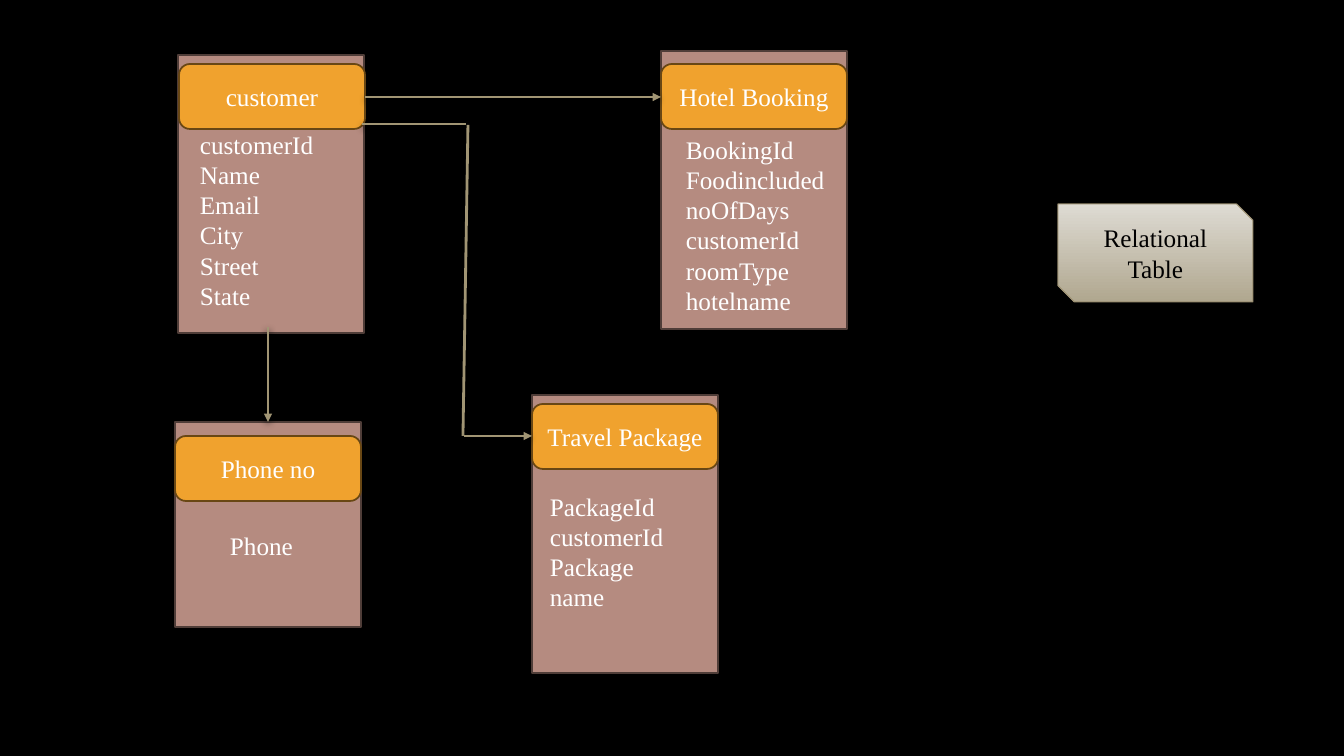
from lxml import etree
from pptx import Presentation
from pptx.dml.color import RGBColor
from pptx.enum.shapes import MSO_CONNECTOR, MSO_SHAPE
from pptx.enum.text import MSO_ANCHOR, PP_ALIGN
from pptx.oxml import parse_xml
from pptx.oxml.ns import qn
from pptx.util import Pt

RECT, ROUND = MSO_SHAPE.RECTANGLE, MSO_SHAPE.ROUNDED_RECTANGLE
SNIP = MSO_SHAPE.SNIP_2_DIAG_RECTANGLE
STRAIGHT = MSO_CONNECTOR.STRAIGHT
CENTER, MIDDLE = PP_ALIGN.CENTER, MSO_ANCHOR.MIDDLE
PX = 12192000 / 1344
FONT = "Times New Roman"
COLORS = {
    "back": "000000", "card": "B58B80", "card_edge": "4F3D38",
    "header": "F0A22E", "header_edge": "694714", "white": "FFFFFF",
    "black": "000000", "arrow": "A19574", "note_top": "DEDBD3",
    "note_bottom": "B0A78F", "note_edge": "9A8E6F",
}
RGB = {name: RGBColor.from_string(value) for name, value in COLORS.items()}
SHADOW = (
    '<a:effectLst xmlns:a="http://schemas.openxmlformats.org/drawingml/2006/main">'
    '<a:outerShdw blurRad="63500" dist="25400" dir="5400000" rotWithShape="0">'
    '<a:srgbClr val="000000"><a:alpha val="60000"/></a:srgbClr>'
    '</a:outerShdw></a:effectLst>'
)


def add_box(kind, box, fill, edge, width):
    sp = s.shapes.add_shape(kind, *[round(v * PX) for v in box])
    sp.shadow.inherit = False
    sp.fill.solid()
    sp.fill.fore_color.rgb = RGB[fill]
    sp.line.color.rgb = RGB[edge]
    sp.line.width = Pt(width)
    return sp


def write(tf, lines, color, align=None):
    tf.word_wrap = True
    for i, line in enumerate(lines):
        p = tf.add_paragraph() if i else tf.paragraphs[0]
        p.alignment = align
        r = p.add_run()
        r.text = line
        r.font.name = FONT
        r.font.size = Pt(18)
        r.font.color.rgb = RGB[color]


prs = Presentation()
prs.slide_width, prs.slide_height = round(1344 * PX), round(756 * PX)
s = prs.slides.add_slide(prs.slide_layouts[6])
s.background.fill.solid()
s.background.fill.fore_color.rgb = RGB["back"]

# Tables: name, card (left, top, height), header (left, top), field box, fields
CARD_W, HEADER_H = 186, 65
tables = [
    ("customer", (178, 55, 278), (179, 64), (190, 124, 165, 224),
     ["customerId", "Name", "Email", "City", "Street", "State"]),
    ("Hotel Booking", (661, 51, 278), (661, 64), (676, 129, 166, 194),
     ["BookingId", "Foodincluded", "noOfDays", "customerId", "roomType", "hotelname"]),
    ("Travel Package", (532, 395, 278), (532, 404), (540, 486, 160, 102),
     ["PackageId", "customerId", "Package name"]),
    ("Phone no", (175, 422, 205), (175, 436), (220, 525, 153, 40), ["Phone"]),
]
for name, (left, top, height), (hx, hy), field_box, fields in tables:
    add_box(RECT, (left, top, CARD_W, height), "card", "card_edge", 1.25)
    sp = add_box(ROUND, (hx, hy, CARD_W, HEADER_H), "header", "header_edge", 1.25)
    sp.text_frame.vertical_anchor = MIDDLE
    write(sp.text_frame, [name], "white", CENTER)
    sp = s.shapes.add_textbox(*[round(v * PX) for v in field_box])
    write(sp.text_frame, fields, "white")

# Relations: start, end, arrowhead
relations = [
    ((365, 97), (661, 97), True),
    ((268, 327), (268, 422), True),
    ((362, 124), (466, 124), False),
    ((468, 125), (463, 436), False),
    ((464, 436), (532, 436), True),
]
for start, end, arrow in relations:
    cn = s.shapes.add_connector(STRAIGHT, *[round(v * PX) for v in start + end])
    cn.line.color.rgb = RGB["arrow"]
    cn.line.width = Pt(2)
    if arrow:
        etree.SubElement(cn.line._get_or_add_ln(), qn("a:tailEnd"), type="triangle")
    cn._element.spPr.append(parse_xml(SHADOW))

# Relational table note
note = add_box(SNIP, (1058, 204, 195, 98), "note_top", "note_edge", 0.75)
note.fill.gradient()
note.fill.gradient_angle = 270
for stop, place, color in zip(note.fill.gradient_stops, (0, 1), ("note_top", "note_bottom")):
    stop.position = place
    stop.color.rgb = RGB[color]
note.text_frame.vertical_anchor = MIDDLE
write(note.text_frame, ["Relational Table"], "black", CENTER)

prs.save("out.pptx")
